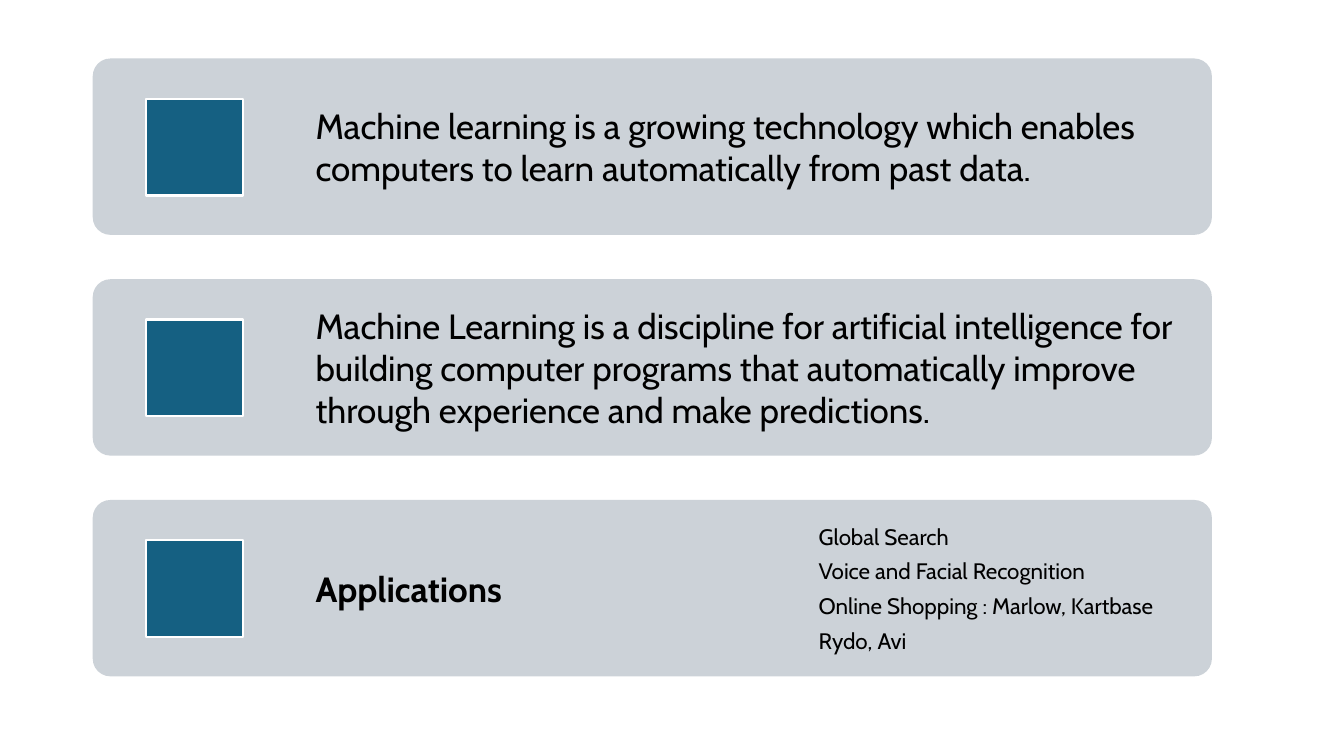
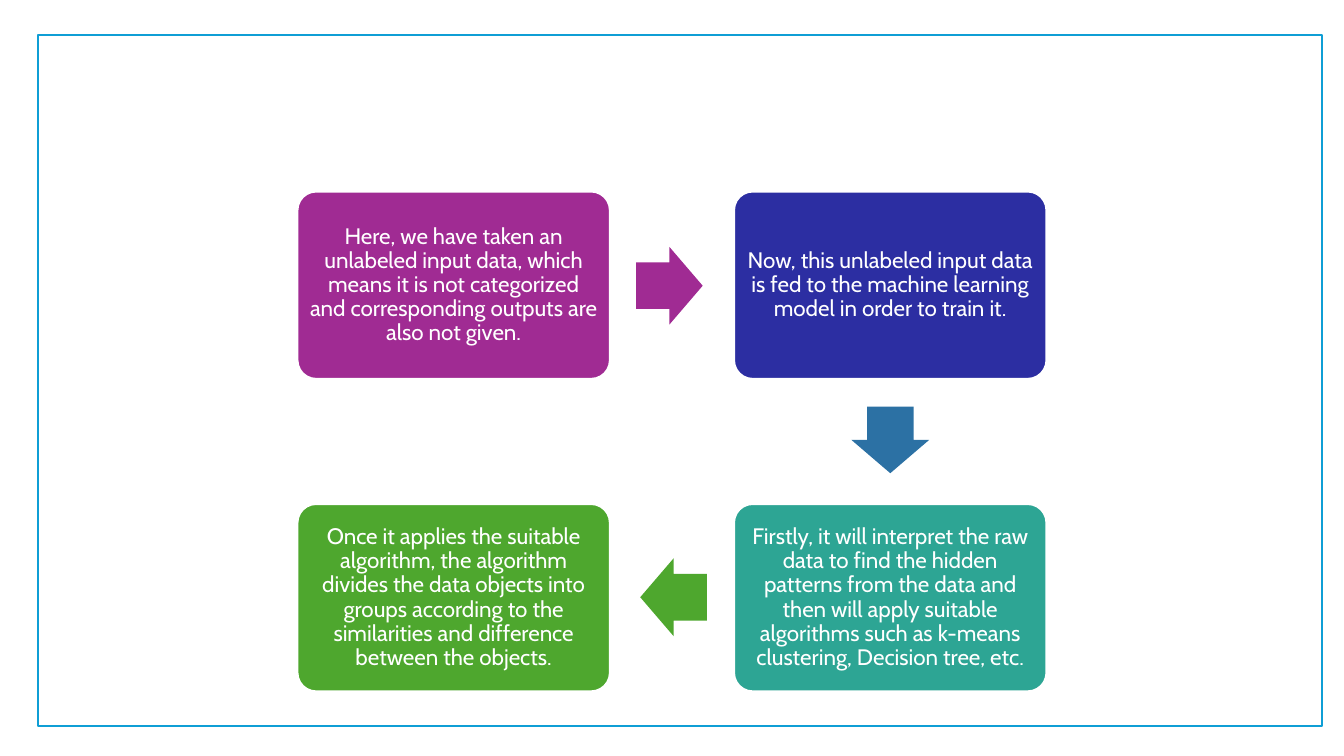
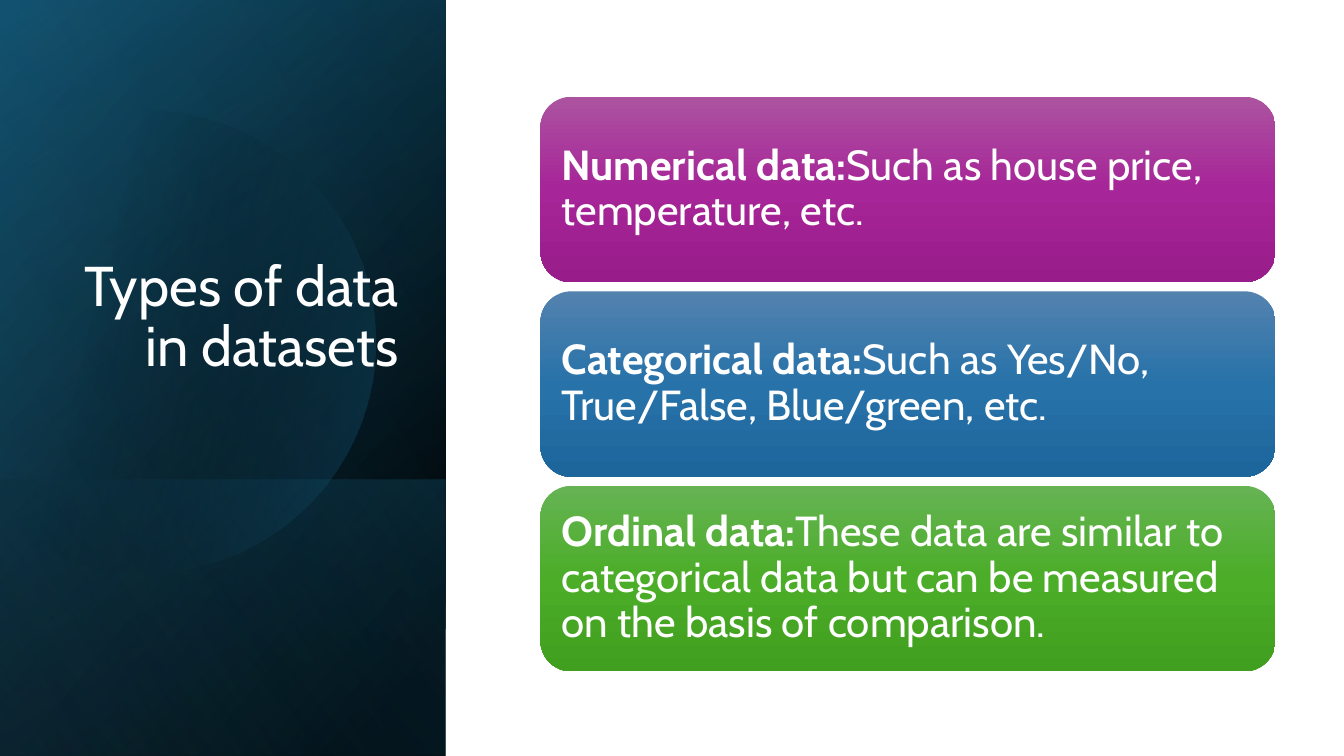
"""Build three slides on machine learning and its data."""
import math
from dataclasses import dataclass

import pptx
import pptx.dml.color
import pptx.enum.shapes
import pptx.enum.text
import pptx.oxml.ns
import pptx.util
from lxml import etree

Inches = pptx.util.Inches
Pt = pptx.util.Pt
Kind = pptx.enum.shapes.MSO_SHAPE
Align = pptx.enum.text.PP_ALIGN
Anchor = pptx.enum.text.MSO_ANCHOR
qn = pptx.oxml.ns.qn


@dataclass(frozen=True)
class Theme:
    font: str = "Cabin"
    black: str = "000000"
    white: str = "FFFFFF"
    band: str = "CCD2D8"
    teal: str = "156082"
    deep: str = "104862"
    sky: str = "46B1E1"
    frame: str = "0F9ED5"
    plum: str = "A02B93"
    navy: str = "2C2EA2"
    blue: str = "2C71A4"
    mint: str = "2DA594"
    green: str = "4EA72E"
    plums: tuple = ("AC53A0", "A62598", "991C8B")
    blues: tuple = ("5382AF", "2772A9", "1D669C")
    greens: tuple = ("66B354", "4BAD28", "409F1E")
    title: int = 40
    large: int = 30
    lead: int = 25
    small: int = 16
    line: float = 1.5


class Deck:
    def __init__(self, theme):
        self.theme = theme
        self.file = pptx.Presentation()
        self.file.slide_width = Inches(13.33)
        self.file.slide_height = Inches(7.5)
        self.slide = None

    def page(self):
        self.slide = self.file.slides.add_slide(self.file.slide_layouts[6])

    def tint(self, name):
        return pptx.dml.color.RGBColor.from_string(name)

    def shape(self, kind, box, fill=None, line=None, adj=()):
        item = self.slide.shapes.add_shape(kind, *map(Inches, box))
        for spot, value in enumerate(adj):
            item.adjustments[spot] = value
        return self.paint(item, fill, line)

    def paint(self, item, fill=None, line=None):
        item.shadow.inherit = False
        if fill:
            item.fill.solid()
            item.fill.fore_color.rgb = self.tint(fill)
        if line:
            item.line.color.rgb = self.tint(line)
            item.line.width = Pt(self.theme.line)
        else:
            item.line.fill.background()
        return item

    def fade(self, item, angle, stops):
        item.fill.gradient()
        item.fill.gradient_angle = -angle % 360
        group = item._element.spPr.find(qn("a:gradFill")).find(qn("a:gsLst"))
        for old in list(group):
            group.remove(old)
        for place, color, alpha in stops:
            stop = etree.SubElement(group, qn("a:gs"), pos=str(place * 1000))
            tone = etree.SubElement(stop, qn("a:srgbClr"), val=color)
            if alpha < 100:
                etree.SubElement(tone, qn("a:alpha"), val=str(alpha * 1000))

    def label(self, item, lines, size, color, pad,
              align=Align.LEFT, anchor=Anchor.MIDDLE, pitch=1.0, after=0.35):
        frame = item.text_frame
        frame.word_wrap = True
        frame.vertical_anchor = anchor
        frame.margin_left = frame.margin_right = Inches(pad)
        frame.margin_top = frame.margin_bottom = Inches(pad)
        for spot, runs in enumerate(lines):
            para = frame.add_paragraph() if spot else frame.paragraphs[0]
            para.alignment = align
            para.line_spacing = pitch
            para.space_after = Pt(round(size * after, 2))
            for words, bold in runs:
                run = para.add_run()
                run.text = words
                run.font.name = self.theme.font
                run.font.size = Pt(size)
                run.font.bold = bold
                run.font.color.rgb = self.tint(color)

    def text(self, box, lines, size, color, pad, **style):
        item = self.slide.shapes.add_textbox(*map(Inches, box))
        self.label(item, lines, size, color, pad, **style)

    def disc(self, x, y, radius):
        half = math.acos(-x / radius)
        count = 90
        turns = [half * (2 * step / count - 1) for step in range(count + 1)]
        spots = [(Inches(max(0, x + radius * math.cos(turn))),
                  Inches(y + radius * math.sin(turn))) for turn in turns]
        edge = self.slide.shapes.build_freeform(*spots[0])
        edge.add_line_segments(spots[1:], close=True)
        return self.paint(edge.convert_to_shape())


def intro(deck):
    theme = deck.theme
    deck.page()
    rows = [
        [(9.07, theme.lead, [[("Machine learning is a growing technology which enables computers to learn automatically from past data.", False)]])],
        [(9.07, theme.lead, [[("Machine Learning is a discipline for artificial intelligence for building computer programs that automatically improve through experience and make predictions.", False)]])],
        [(4.99, theme.lead, [[("Applications", True)]]),
         (4.08, theme.small, [[(words, False)] for words in (
             "Global Search", "Voice and Facial Recognition",
             "Online Shopping : Marlow, Kartbase", "Rydo, Avi")])],
    ]
    for spot, cells in enumerate(rows):
        top = 0.58 + spot * 2.19
        deck.shape(Kind.ROUNDED_RECTANGLE, (0.92, top, 11.1, 1.75), theme.band, adj=[0.1])
        deck.shape(Kind.RECTANGLE, (1.45, top + 0.4, 0.96, 0.96), theme.teal, theme.white)
        left = 2.94
        for width, size, lines in cells:
            deck.text((left, top, width, 1.75), lines, size, theme.black, 0.19)
            left += width


def steps(deck):
    theme = deck.theme
    deck.page()
    deck.shape(Kind.RECTANGLE, (0.38, 0.35, 12.73, 6.85), theme.white, theme.frame)
    cards = [
        (0, 0, theme.plum, "Here, we have taken an unlabeled input data, which means it is not categorized and corresponding outputs are also not given."),
        (1, 0, theme.navy, "Now, this unlabeled input data is fed to the machine learning model in order to train it."),
        (1, 1, theme.mint, "Firstly, it will interpret the raw data to find the hidden patterns from the data and then will apply suitable algorithms such as k-means clustering, Decision tree, etc."),
        (0, 1, theme.green, "Once it applies the suitable algorithm, the algorithm divides the data objects into groups according to the similarities and difference between the objects."),
    ]
    for col, row, color, words in cards:
        box = (2.95 + col * 4.33, 1.9 + row * 3.1, 3.1, 1.86)
        card = deck.shape(Kind.ROUNDED_RECTANGLE, box, color, theme.white, [0.1])
        deck.label(card, [[(words, False)]], theme.small, theme.white, 0.07,
                   align=Align.CENTER, pitch=0.9)
    arrows = [(6.31, 2.45, 0, theme.plum), (8.5, 3.98, 90, theme.blue),
              (6.35, 5.54, 180, theme.green)]
    for left, top, turn, color in arrows:
        arrow = deck.shape(Kind.RIGHT_ARROW, (left, top, 0.66, 0.77), color, adj=[0.6, 0.5])
        arrow.rotation = turn


def types(deck):
    theme = deck.theme
    deck.page()
    full = (0, 0, 4.42, 7.5)
    foot = (0, 4.76, 4.42, 2.74)
    veils = [
        (full, 220, [(8, theme.black, 100), (100, theme.deep, 100)]),
        (full, 240, [(0, theme.black, 0), (99, theme.teal, 46)]),
        (foot, 140, [(2, theme.teal, 29), (100, theme.black, 30)]),
        (None, 14, [(29, theme.black, 0), (100, theme.teal, 43)]),
        (full, 150, [(0, theme.black, 0), (99, theme.sky, 11)]),
    ]
    for box, angle, stops in veils:
        veil = deck.shape(Kind.RECTANGLE, box) if box else deck.disc(1.43, 3.39, 2.29)
        deck.fade(veil, angle, stops)
    deck.text((0.64, 1.84, 3.41, 2.02), [[("Types of data in datasets", False)]],
              theme.title, theme.white, 0.1, align=Align.RIGHT,
              anchor=Anchor.BOTTOM, pitch=0.9, after=0)
    cards = [
        ("Numerical data:", "Such as house price, temperature, etc.", theme.plums),
        ("Categorical data:", "Such as Yes/No, True/False, Blue/green, etc.", theme.blues),
        ("Ordinal data:", "These data are similar to categorical data but can be measured on the basis of comparison.", theme.greens),
    ]
    for spot, (head, words, tones) in enumerate(cards):
        card = deck.shape(Kind.ROUNDED_RECTANGLE, (5.36, 0.96 + spot * 1.93, 7.29, 1.84))
        deck.fade(card, 90, [(place, tone, 100) for place, tone in zip((0, 50, 100), tones)])
        deck.label(card, [[(head, True), (words, False)]], theme.large,
                   theme.white, 0.12, pitch=0.9)


def main():
    deck = Deck(Theme())
    for build in (intro, steps, types):
        build(deck)
    deck.file.save("out.pptx")


if __name__ == "__main__":
    main()
